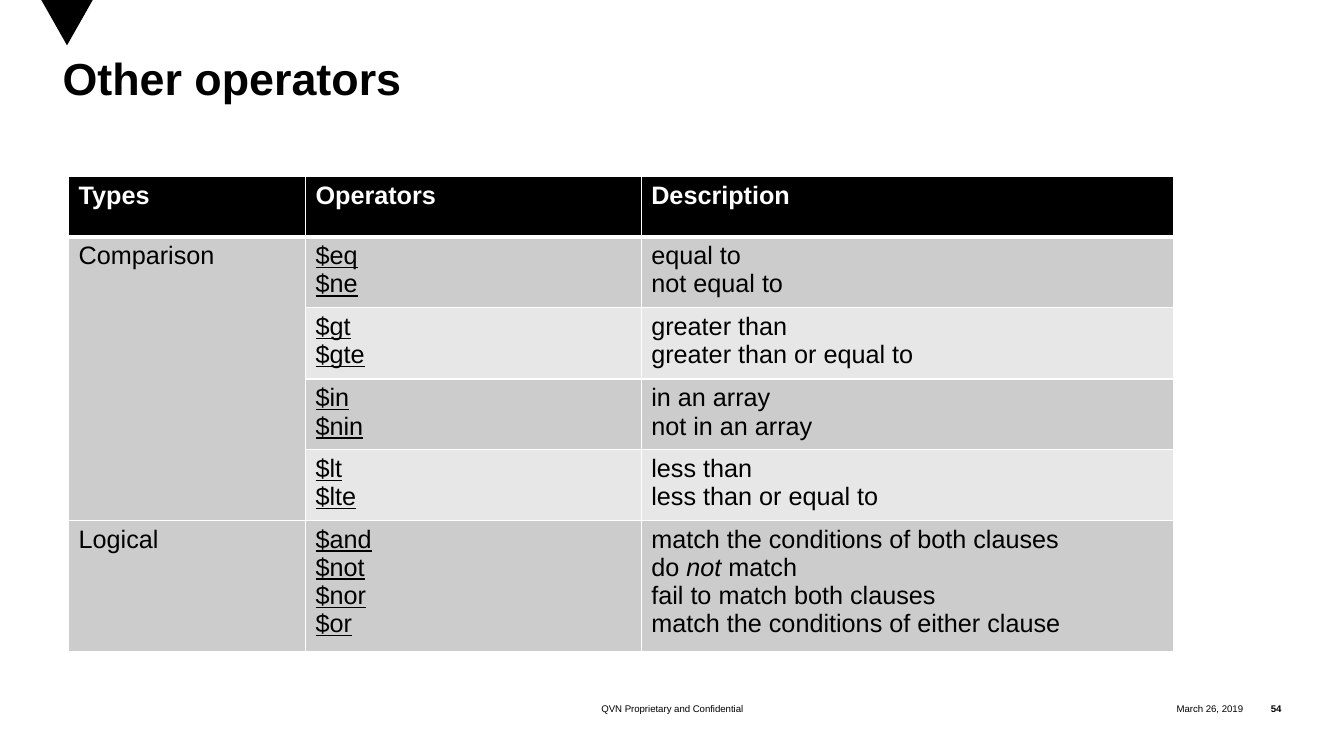
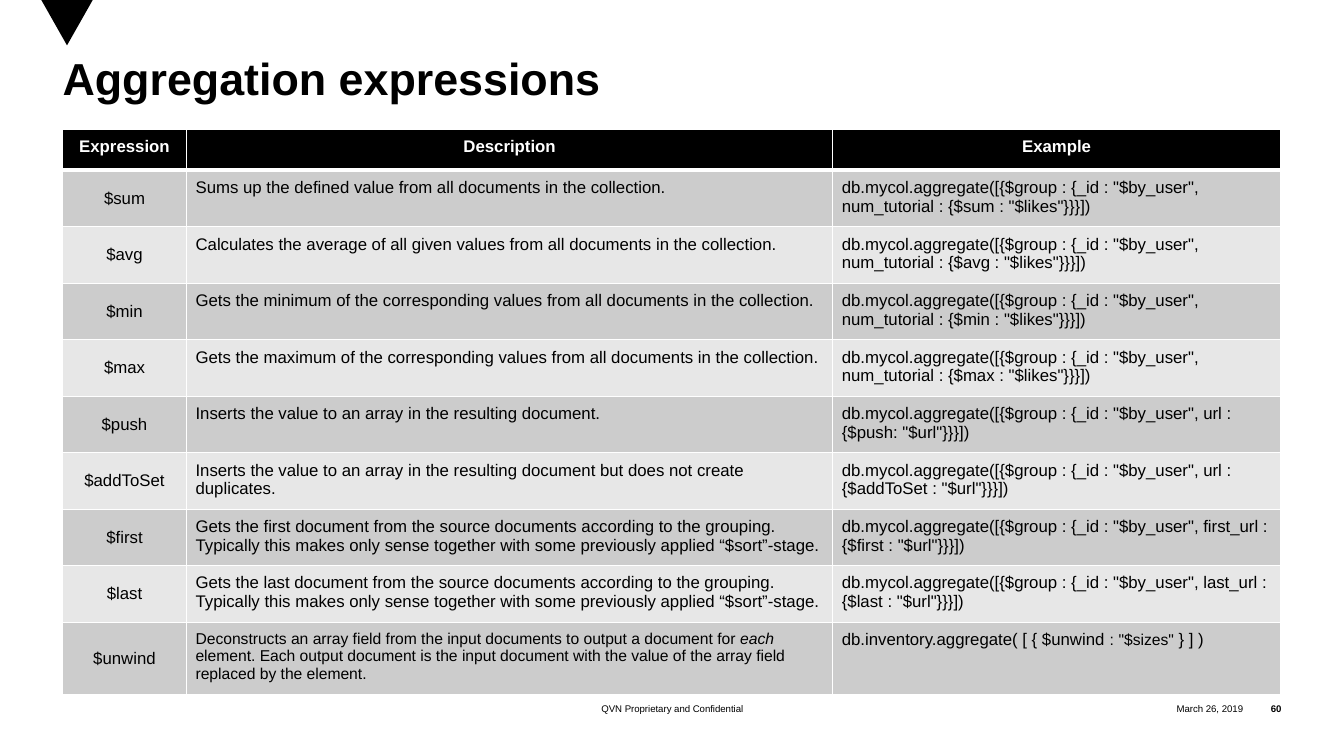
from collections import namedtuple

from lxml import etree
from pptx import Presentation
from pptx import util as u
from pptx.dml import color
from pptx.enum import shapes, text
from pptx.oxml import ns

FONT = "Arial"
BLACK, WHITE = "000000", "FFFFFF"
BANDS = ("CCCCCC", "E7E7E7")
LEFT, CENTER, RIGHT = text.PP_ALIGN.LEFT, text.PP_ALIGN.CENTER, text.PP_ALIGN.RIGHT
TOP, MIDDLE = text.MSO_ANCHOR.TOP, text.MSO_ANCHOR.MIDDLE
FOOTER = "QVN Proprietary and Confidential"
DATE = "March 26, 2019"

Part = namedtuple("Part", "text size italic", defaults=(None, False))

OPERATORS = [
    ("Types", "Operators", "Description"),
    ("Comparison", ["$eq", "$ne"], ["equal to", "not equal to"]),
    ("", ["$gt", "$gte"], ["greater than", "greater than or equal to"]),
    ("", ["$in", "$nin"], ["in an array", "not in an array"]),
    ("", ["$lt", "$lte"], ["less than", "less than or equal to"]),
    ("Logical", ["$and", "$not", "$nor", "$or"],
     ["match the conditions of both clauses",
      (Part("do "), Part("not", italic=True), Part(" match")),
      "fail to match both clauses",
      "match the conditions of either clause"]),
]

EXPRESSIONS = [
    ("Expression", "Description", "Example"),
    ("$sum", "Sums up the defined value from all documents in the collection.",
     'db.mycol.aggregate([{$group : {_id : "$by_user", num_tutorial : {$sum : "$likes"}}}])'),
    ("$avg", "Calculates the average of all given values from all documents in the collection.",
     'db.mycol.aggregate([{$group : {_id : "$by_user", num_tutorial : {$avg : "$likes"}}}])'),
    ("$min", "Gets the minimum of the corresponding values from all documents in the collection.",
     'db.mycol.aggregate([{$group : {_id : "$by_user", num_tutorial : {$min : "$likes"}}}])'),
    ("$max", "Gets the maximum of the corresponding values from all documents in the collection.",
     'db.mycol.aggregate([{$group : {_id : "$by_user", num_tutorial : {$max : "$likes"}}}])'),
    ("$push", "Inserts the value to an array in the resulting document.",
     'db.mycol.aggregate([{$group : {_id : "$by_user", url : {$push: "$url"}}}])'),
    ("$addToSet",
     "Inserts the value to an array in the resulting document but does not create duplicates.",
     'db.mycol.aggregate([{$group : {_id : "$by_user", url : {$addToSet : "$url"}}}])'),
    ("$first",
     "Gets the first document from the source documents according to the grouping. "
     "Typically this makes only sense together with some previously applied “$sort”-stage.",
     'db.mycol.aggregate([{$group : {_id : "$by_user", first_url : {$first : "$url"}}}])'),
    ("$last",
     "Gets the last document from the source documents according to the grouping. "
     "Typically this makes only sense together with some previously applied “$sort”-stage.",
     'db.mycol.aggregate([{$group : {_id : "$by_user", last_url : {$last : "$url"}}}])'),
    ("$unwind",
     [(Part("Deconstructs an array field from the input documents to output a document for ", 11.2),
       Part("each", 11.2, True),
       Part(" element. Each output document is the input document with the value of the array "
            "field replaced by the element.", 11.2))],
     [(Part("db.inventory.aggregate( [ { $unwind "), Part(":", 11.2), Part(" "),
       Part('"$sizes"', 11.2), Part(" } ] )"))]),
]


def rgb(hex_color):
    return color.RGBColor.from_string(hex_color)


def style(font, size, hex_color=BLACK, bold=False):
    font.name = FONT
    font.size = u.Pt(size)
    font.bold = bold
    font.color.rgb = rgb(hex_color)


def clear_margins(frame):
    frame.margin_left = frame.margin_top = frame.margin_right = frame.margin_bottom = 0


def add_label(slide, left, width, wording, align, bold=False):
    label = slide.shapes.add_textbox(u.Inches(left), u.Inches(6.91), u.Inches(width), u.Inches(0.25))
    frame = label.text_frame
    frame.word_wrap = True
    frame.vertical_anchor = MIDDLE
    clear_margins(frame)
    frame.text = wording
    frame.paragraphs[0].alignment = align
    style(frame.paragraphs[0].runs[0].font, 6.9, bold=bold)


def add_marker(slide):
    marker = slide.shapes.add_shape(shapes.MSO_SHAPE.FLOWCHART_MERGE,
                                    u.Inches(0.41), 0, u.Inches(0.51), u.Inches(0.45))
    marker.shadow.inherit = False
    marker.fill.solid()
    marker.fill.fore_color.rgb = rgb(BLACK)
    marker.line.fill.background()


def set_title(slide, wording):
    title = slide.shapes.title
    title.left, title.top, title.width, title.height = map(u.Inches, (0.62, 0.58, 12.08, 1.29))
    frame = title.text_frame
    frame.text = wording
    frame.word_wrap = True
    frame.auto_size = text.MSO_AUTO_SIZE.NONE
    frame.vertical_anchor = TOP
    clear_margins(frame)
    heading = frame.paragraphs[0]
    heading.alignment = LEFT
    heading.line_spacing = 0.85
    style(heading.runs[0].font, 32, bold=True)


def new_slide(deck, title, number):
    slide = deck.slides.add_slide(deck.slide_layouts[5])
    add_marker(slide)
    set_title(slide, title)
    add_label(slide, 4.38, 4.58, FOOTER, CENTER)
    add_label(slide, 10.84, 1.49, DATE, RIGHT)
    add_label(slide, 12.33, 0.38, number, RIGHT, bold=True)
    return slide


def set_borders(cell, top, bottom):
    properties = cell._tc.get_or_add_tcPr()
    for position, (side, width) in enumerate((("L", 1), ("R", 1), ("T", top), ("B", bottom))):
        border = etree.Element(ns.qn(f"a:ln{side}"), w=str(u.Pt(width)))
        fill = etree.SubElement(border, ns.qn("a:solidFill"))
        etree.SubElement(fill, ns.qn("a:srgbClr"), val=WHITE)
        properties.insert(position, border)


def write_cell(cell, content, size, hex_color, bold, align):
    lines = content if isinstance(content, list) else [content]
    frame = cell.text_frame
    for index, line in enumerate(lines):
        paragraph = frame.add_paragraph() if index else frame.paragraphs[0]
        paragraph.alignment = align
        for part in (Part(line),) if isinstance(line, str) else line:
            run = paragraph.add_run()
            run.text = part.text
            style(run.font, part.size or size, hex_color, bold)
            run.font.italic = part.italic


def add_grid(slide, left, top, widths, heights, rows, size):
    frame = slide.shapes.add_table(len(rows), len(widths), u.Inches(left), u.Inches(top),
                                   u.Inches(sum(widths)), u.Inches(sum(heights)))
    grid = frame.table
    grid.horz_banding = False
    for column, width in zip(grid.columns, widths):
        column.width = u.Inches(width)
    for index, (contents, height) in enumerate(zip(rows, heights)):
        grid.rows[index].height = u.Inches(height)
        header = index == 0
        for column, content in enumerate(contents):
            cell = grid.cell(index, column)
            cell.fill.solid()
            cell.fill.fore_color.rgb = rgb(BLACK if header else BANDS[(index - 1) % 2])
            set_borders(cell, 3 if index == 1 else 1, 3 if header else 1)
            if content:
                write_cell(cell, content, size, WHITE if header else BLACK, header, LEFT)
    return grid


def build_operators(deck):
    slide = new_slide(deck, "Other operators", "54")
    grid = add_grid(slide, 0.68, 1.75, (2.35, 3.33, 5.28),
                    (0.6, 0.66, 0.71, 0.66, 0.66, 1.21), OPERATORS, 18)
    grid.cell(1, 0).merge(grid.cell(4, 0))
    for index in range(1, len(OPERATORS)):
        for paragraph in grid.cell(index, 1).text_frame.paragraphs:
            paragraph.runs[0].font.underline = True


def build_expressions(deck):
    slide = new_slide(deck, "Aggregation expressions", "60")
    grid = add_grid(slide, 0.62, 1.28, (1.23, 6.41, 4.44),
                    (0.41, *[0.54] * 8, 0.68), EXPRESSIONS, 12)
    for cell in grid.iter_cells():
        cell.margin_left = cell.margin_right = u.Inches(0.09)
        cell.margin_top = cell.margin_bottom = u.Inches(0.08)
    for column in range(3):
        grid.cell(0, column).text_frame.paragraphs[0].alignment = CENTER
    for index in range(1, len(EXPRESSIONS)):
        name = grid.cell(index, 0)
        name.vertical_anchor = MIDDLE
        name.text_frame.paragraphs[0].alignment = CENTER


def main():
    deck = Presentation()
    deck.slide_width, deck.slide_height = u.Inches(13.33), u.Inches(7.5)
    build_operators(deck)
    build_expressions(deck)
    deck.save("out.pptx")


if __name__ == "__main__":
    main()
